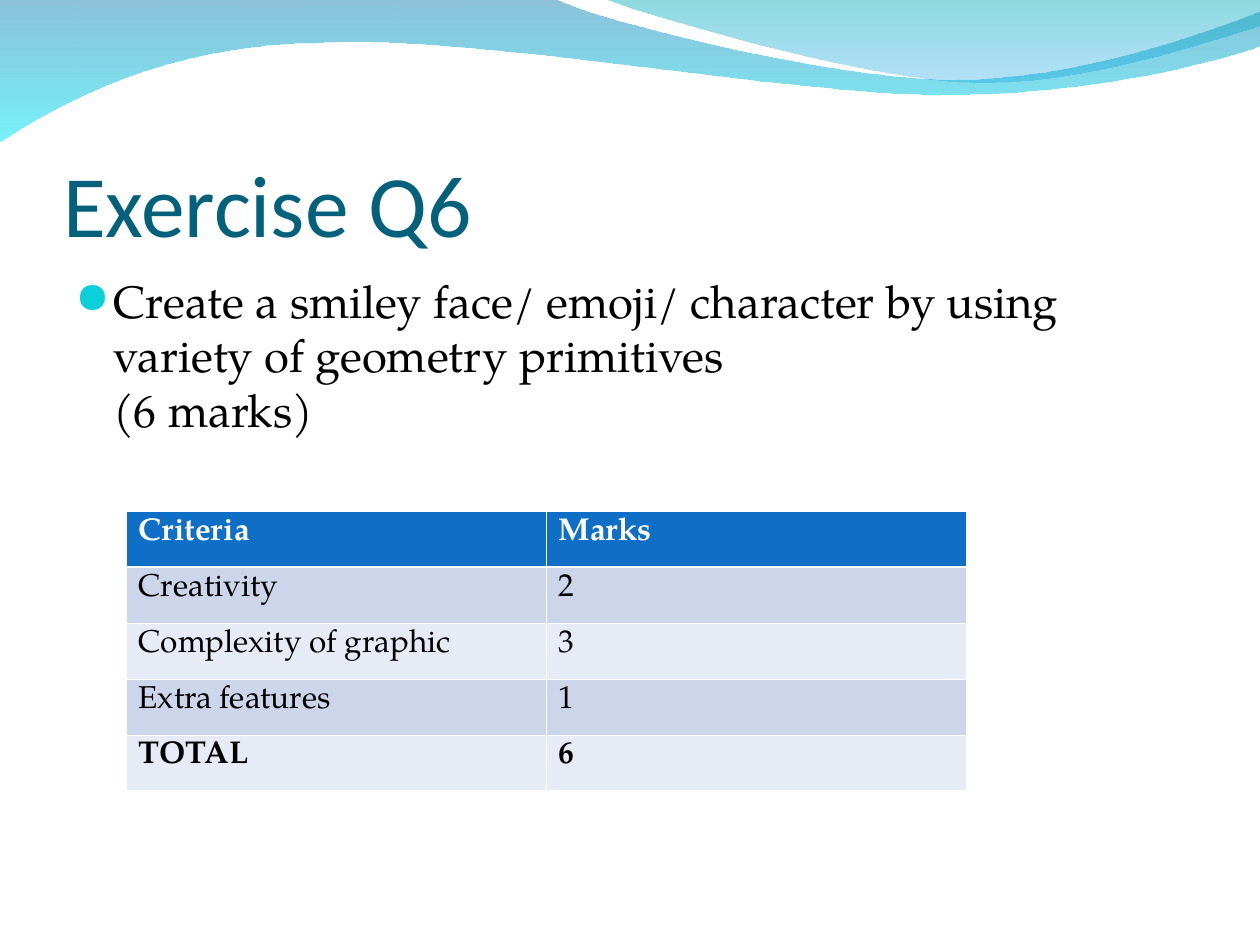
from lxml import etree
from pptx import Presentation, util as u
from pptx.dml.color import RGBColor
from pptx.enum import text
from pptx.oxml.ns import qn

theme = {
    "heading_font": "Calibri", "body_font": "TeX Gyre Pagella", "bullet_font": "OpenSymbol",
    "title_size": 50, "body_size": 26, "table_size": 18,
    "title": "04617B", "text": "000000", "bullet": "0BD0D9", "white": "FFFFFF",
    "header": "0F6FC6", "bands": ["E7EBF5", "CCD5EA"],
    "wave_back": [("0079AF", 45), ("00EBF8", 55)],
    "wave_front": [("00ADB6", 45), ("009BE5", 30)],
}

presentation = Presentation()
presentation.slide_width, presentation.slide_height = u.Inches(10), u.Inches(7.5)
column = presentation.slide_width / 60
row = presentation.slide_height / 100
slide = presentation.slides.add_slide(presentation.slide_layouts[5])


def grid(left, top, columns, rows):
    return [round(n) for n in (left * column, top * row, columns * column, rows * row)]


def add_run(paragraph, words, font, size, color, bold=False):
    run = paragraph.add_run()
    run.text = words
    run.font.name, run.font.size, run.font.bold = font, u.Pt(size), bold
    run.font.color.rgb = RGBColor.from_string(color)


waves = [
    (theme["wave_back"], (0, -0.01), [
        [(4.4, -0.01)],
        [(4.76, 0.17), (6.64, 0.63), (7.58, 0.63)],
        [(8.53, 0.63), (9.58, 0.26), (10, 0.09)],
        [(10.01, 0.36)],
        [(9.83, 0.44), (8.7, 0.76), (7.46, 0.75)],
        [(6.22, 0.75), (3.82, 0.28), (2.57, 0.34)],
        [(1.29, 0.35), (0.46, 0.83), (-0.01, 1.13)],
        [(0, -0.01)]]),
    (theme["wave_front"], (4.79, -0.01), [
        [(5.09, 0.11), (6.82, 0.62), (7.69, 0.65)],
        [(8.56, 0.69), (9.61, 0.32), (10, 0.21)],
        [(10, 0)],
        [(4.79, -0.01)]]),
]
for stops, start, segments in waves:
    builder = slide.shapes.build_freeform(*map(u.Inches, start))
    builder.add_line_segments(
        [(u.Inches(x), u.Inches(y)) for segment in segments for x, y in segment], close=True)
    wave = builder.convert_to_shape()
    lines = iter(list(wave._element.iter(qn("a:lnTo"))))
    for segment in segments:
        pieces = [next(lines) for point in segment]
        if len(pieces) == 3:
            curve = etree.Element(qn("a:cubicBezTo"))
            pieces[0].addprevious(curve)
            for piece in pieces:
                curve.append(piece[0])
                piece.getparent().remove(piece)
    wave.shadow.inherit = False
    wave.line.fill.background()
    wave.fill.gradient()
    wave.fill.gradient_angle = 270
    for position, (stop, (color, opacity)) in enumerate(zip(wave.fill.gradient_stops, stops)):
        stop.position = position
        stop.color.rgb = RGBColor.from_string(color)
    for element, (color, opacity) in zip(wave._element.iter(qn("a:srgbClr")), stops):
        etree.SubElement(element, qn("a:alpha"), val=str(opacity * 1000))

title = slide.shapes.title
title._element.getparent().append(title._element)
title.left, title.top, title.width, title.height = grid(3, 10.27, 54, 16.67)
frame = title.text_frame
frame.auto_size = text.MSO_AUTO_SIZE.NONE
frame.word_wrap = True
frame.vertical_anchor = text.MSO_ANCHOR.BOTTOM
frame.margin_left = frame.margin_right = frame.margin_bottom = 0
frame.margin_top = u.Inches(0.05)
frame.paragraphs[0].alignment = text.PP_ALIGN.LEFT
add_run(frame.paragraphs[0], "Exercise Q6",
        theme["heading_font"], theme["title_size"], theme["title"])

body = slide.shapes.add_textbox(*grid(3, 28.22, 54, 64))
body.text_frame.word_wrap = True
paragraph = body.text_frame.paragraphs[0]
paragraph.space_before = u.Pt(6.5)
body_style = theme["body_font"], theme["body_size"], theme["text"]
add_run(paragraph, "Create a smiley face/ emoji/ character by using variety of geometry primitives",
        *body_style)
paragraph.add_line_break()
add_run(paragraph, "(6 marks)", *body_style)
properties = paragraph._p.get_or_add_pPr()
properties.set("marL", str(u.Inches(0.3)))
properties.set("indent", str(-u.Inches(0.3)))
bullet_color = etree.SubElement(properties, qn("a:buClr"))
etree.SubElement(bullet_color, qn("a:srgbClr"), val=theme["bullet"])
etree.SubElement(properties, qn("a:buSzPct"), val="95000")
etree.SubElement(properties, qn("a:buFont"), typeface=theme["bullet_font"])
etree.SubElement(properties, qn("a:buChar"), char="●")

marks = [
    ("Criteria", "Marks"),
    ("Creativity", "2"),
    ("Complexity of graphic", "3"),
    ("Extra features", "1"),
    ("TOTAL", "6"),
]
table = slide.shapes.add_table(len(marks), 2, *grid(6, 54.1, 40, 5.92 * len(marks))).table
last = len(marks) - 1
for r, entries in enumerate(marks):
    for c, words in enumerate(entries):
        cell = table.cell(r, c)
        borders = cell._tc.get_or_add_tcPr()
        for side in "LRTB":
            heavy = (r, side) in [(0, "B"), (1, "T")]
            line = etree.SubElement(borders, qn("a:ln" + side),
                                    w=str(u.Pt(1.47 if heavy else 0.45)))
            solid = etree.SubElement(line, qn("a:solidFill"))
            etree.SubElement(solid, qn("a:srgbClr"), val=theme["white"])
        cell.fill.solid()
        cell.fill.fore_color.rgb = RGBColor.from_string(
            theme["bands"][r % 2] if r else theme["header"])
        add_run(cell.text_frame.paragraphs[0], words, theme["body_font"], theme["table_size"],
                theme["text"] if r else theme["white"], r in (0, last))

presentation.save("out.pptx")
